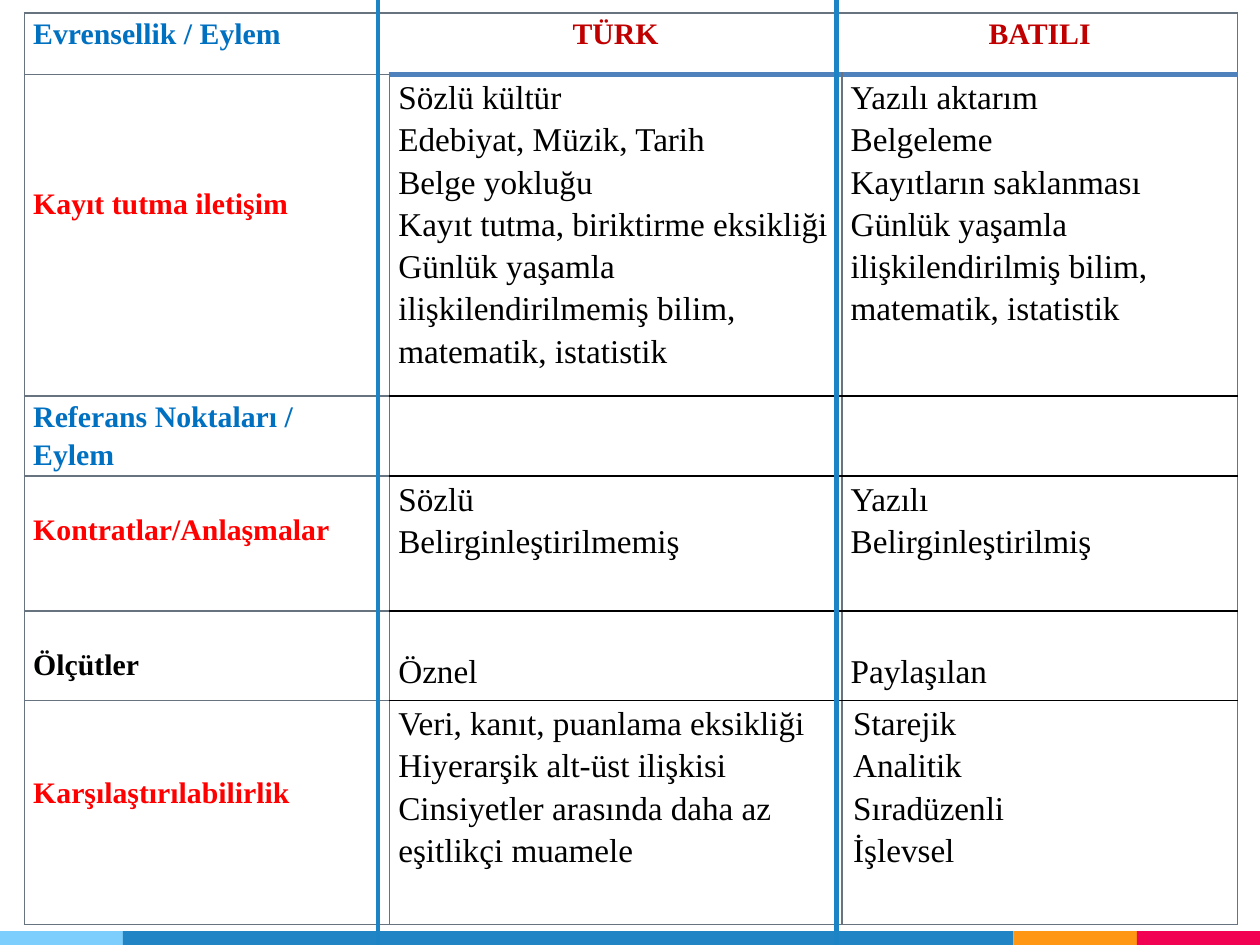
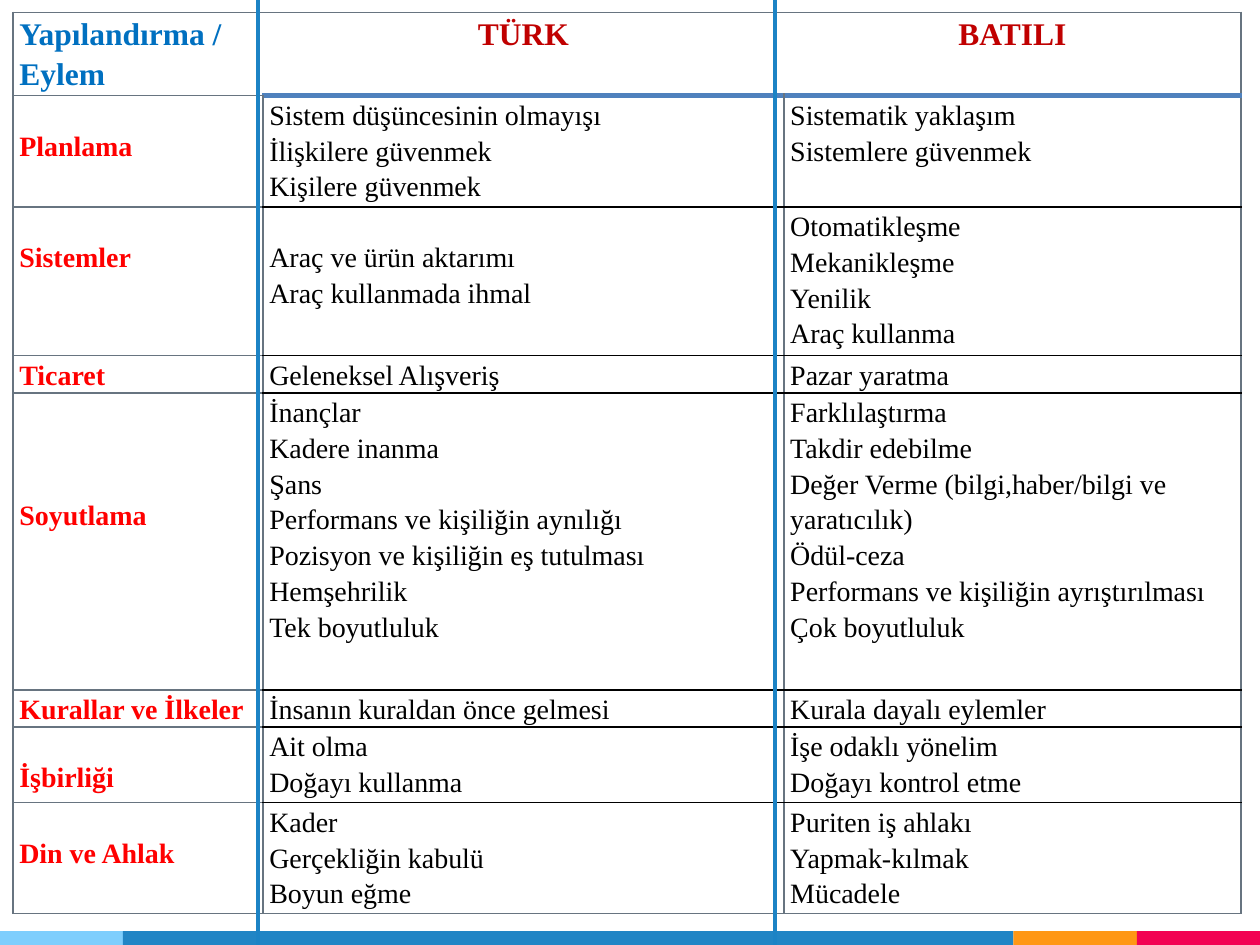
from dataclasses import dataclass

from lxml import etree
from pptx import Presentation
from pptx.dml.color import RGBColor
from pptx.enum.shapes import MSO_CONNECTOR, MSO_SHAPE
from pptx.enum.text import PP_ALIGN
from pptx.oxml.ns import qn
from pptx.util import Cm, Pt

FONT = "Times New Roman"
LINE_SPACING = 1.15
FONT_HEIGHT = 1.11  # height of a single line, relative to the font size
NO_GRID_STYLE = "{2D5ABB26-0587-4C30-8999-92F81FD0307C}"
SLIDE_WIDTH, SLIDE_HEIGHT = 25.4, 19.05

COLORS = {
    "section": "0070C0",
    "culture": "C00000",
    "topic": "FF0000",
    "text": "000000",
    "grid": "677480",
    "header_rule": "4F81BD",
    "divider": "1C83C5",
    "band_sky": "7ECEFD",
    "band_blue": "2185C5",
    "band_orange": "FF9715",
    "band_pink": "F20253",
}

BAND_TOP = 18.77
BAND_PARTS = [("band_sky", 2.48), ("band_blue", 17.95),
              ("band_orange", 2.49), ("band_pink", 2.48)]


@dataclass
class Row:
    """One topic; the lowered values are the empty lines above the text."""
    label: str
    turkish: list
    western: list
    height: float
    label_lowered: int = 0
    values_lowered: int = 0
    color: str = "topic"


@dataclass
class Comparison:
    heading: str
    left: float
    top: float
    columns: list
    header_height: float
    inset: float
    header_size: int
    label_size: int
    value_size: int
    dividers: list
    rows: list


UNIVERSALITY = Comparison(
    heading="Evrensellik / Eylem", left=0.49, top=0.26,
    columns=[7.36, 9.12, 7.98], header_height=1.24, inset=0.18,
    header_size=17, label_size=17, value_size=19, dividers=[7.62, 16.86],
    rows=[
        Row("Kayıt tutma iletişim",
            ["Sözlü kültür", "Edebiyat, Müzik, Tarih", "Belge yokluğu",
             "Kayıt tutma, biriktirme eksikliği",
             "Günlük yaşamla ilişkilendirilmemiş bilim, matematik, istatistik"],
            ["Yazılı aktarım", "Belgeleme", "Kayıtların saklanması",
             "Günlük yaşamla ilişkilendirilmiş bilim, matematik, istatistik"],
            6.48, label_lowered=3),
        Row("Referans Noktaları / Eylem", [], [], 1.62, color="section"),
        Row("Kontratlar/Anlaşmalar", ["Sözlü", "Belirginleştirilmemiş"],
            ["Yazılı", "Belirginleştirilmiş"], 2.72, label_lowered=1),
        Row("Ölçütler", ["Öznel"], ["Paylaşılan"], 1.8,
            label_lowered=1, values_lowered=1, color="text"),
        Row("Karşılaştırılabilirlik",
            ["Veri, kanıt, puanlama eksikliği", "Hiyerarşik alt-üst ilişkisi",
             "Cinsiyetler arasında daha az eşitlikçi muamele"],
            ["Starejik", "Analitik", "Sıradüzenli", "İşlevsel"],
            4.52, label_lowered=2),
    ])

STRUCTURING = Comparison(
    heading="Yapılandırma / Eylem", left=0.26, top=0.25,
    columns=[5.04, 10.5, 9.22], header_height=1.68, inset=0.13,
    header_size=18, label_size=16, value_size=16, dividers=[5.2, 15.62],
    rows=[
        Row("Planlama",
            ["Sistem düşüncesinin olmayışı", "İlişkilere güvenmek", "Kişilere güvenmek"],
            ["Sistematik yaklaşım", "Sistemlere güvenmek"], 2.24, label_lowered=1),
        Row("Sistemler", ["Araç ve ürün aktarımı", "Araç kullanmada ihmal"],
            ["Otomatikleşme", "Mekanikleşme", "Yenilik", "Araç kullanma"],
            3, label_lowered=1),
        Row("Ticaret", ["Geleneksel Alışveriş"], ["Pazar yaratma"], 0.75),
        Row("Soyutlama",
            ["İnançlar", "Kadere inanma", "Şans", "Performans ve kişiliğin aynılığı",
             "Pozisyon ve kişiliğin eş tutulması", "Hemşehrilik", "Tek boyutluluk"],
            ["Farklılaştırma", "Takdir edebilme",
             "Değer Verme (bilgi,haber/bilgi ve yaratıcılık)", "Ödül-ceza",
             "Performans ve kişiliğin ayrıştırılması", "Çok boyutluluk"],
            5.99, label_lowered=3),
        Row("Kurallar ve İlkeler", ["İnsanın kuraldan önce gelmesi"],
            ["Kurala dayalı eylemler"], 0.75),
        Row("İşbirliği", ["Ait olma", "Doğayı kullanma"],
            ["İşe odaklı yönelim", "Doğayı kontrol etme"], 1.52, label_lowered=1),
        Row("Din ve Ahlak", ["Kader", "Gerçekliğin kabulü", "Boyun eğme"],
            ["Puriten iş ahlakı", "Yapmak-kılmak", "Mücadele"],
            2.24, label_lowered=1),
    ])


def rgb(name):
    return RGBColor.from_string(COLORS[name])


def write_text(cell, lines, *, size, color="text", bold=False,
               align=PP_ALIGN.LEFT, inset=0.18, lowered=0):
    """Fill a cell with one paragraph per line, lowered by some line heights."""
    cell.margin_left = cell.margin_right = Cm(inset)
    cell.margin_bottom = 0
    cell.margin_top = 0
    if lowered:
        lines_above = LINE_SPACING * lowered - (LINE_SPACING - 1)
        cell.margin_top = Pt(size * FONT_HEIGHT * lines_above)
    frame = cell.text_frame
    for index, line in enumerate(lines):
        paragraph = frame.add_paragraph() if index else frame.paragraphs[0]
        paragraph.alignment = align
        paragraph.line_spacing = LINE_SPACING
        run = paragraph.add_run()
        run.text = line
        run.font.name = FONT
        run.font.size = Pt(size)
        run.font.bold = bold
        run.font.color.rgb = rgb(color)


def set_borders(cell, **sides):
    """Draw borders given as L, R, T, B = (colour name, points)."""
    properties = cell._tc.get_or_add_tcPr()
    for side in "LRTB":
        if side in sides:
            color, width = sides[side]
            line = etree.SubElement(properties, qn(f"a:ln{side}"), w=str(Pt(width)))
            fill = etree.SubElement(line, qn("a:solidFill"))
            etree.SubElement(fill, qn("a:srgbClr"), val=COLORS[color])


def draw_grid(table):
    """Grey frame, thick rule under the cultures, black rules between values."""
    grey, black, header_rule = ("grid", 1), ("text", 1), ("header_rule", 3)
    last_row, last_column = len(table.rows) - 1, len(table.columns) - 1

    def rule_below(row, column):
        if column == 0 or row in (-1, last_row):
            return grey
        return header_rule if row == 0 else black

    for row in range(last_row + 1):
        for column in range(last_column + 1):
            sides = {"T": rule_below(row - 1, column), "B": rule_below(row, column)}
            if column == 0 or (column == 1 and row > 0):
                sides["L"] = grey
            if column == last_column or (column == 0 and row > 0):
                sides["R"] = grey
            cell = table.cell(row, column)
            set_borders(cell, **sides)
            cell.fill.background()


def add_comparison_table(slide, comparison):
    heights = [comparison.header_height] + [row.height for row in comparison.rows]
    table = slide.shapes.add_table(
        len(heights), len(comparison.columns), Cm(comparison.left), Cm(comparison.top),
        Cm(sum(comparison.columns)), Cm(sum(heights))).table
    table.first_row = table.horz_banding = False
    table._tbl.tblPr.find(qn("a:tableStyleId")).text = NO_GRID_STYLE
    for column, width in zip(table.columns, comparison.columns):
        column.width = Cm(width)
    for table_row, height in zip(table.rows, heights):
        table_row.height = Cm(height)

    inset = comparison.inset
    header = dict(size=comparison.header_size, bold=True, inset=inset)
    write_text(table.cell(0, 0), [comparison.heading], color="section", **header)
    for column, culture in enumerate(["TÜRK", "BATILI"], start=1):
        write_text(table.cell(0, column), [culture], color="culture",
                   align=PP_ALIGN.CENTER, **header)
    for index, row in enumerate(comparison.rows, start=1):
        write_text(table.cell(index, 0), [row.label], size=comparison.label_size,
                   color=row.color, bold=True, inset=inset, lowered=row.label_lowered)
        lowered = {"Sistemler": (1, 0)}.get(row.label, (row.values_lowered,) * 2)
        for column, lines in enumerate([row.turkish, row.western], start=1):
            write_text(table.cell(index, column), lines, size=comparison.value_size,
                       inset=inset, lowered=lowered[column - 1])
    draw_grid(table)
    return table


def add_footer_band(slide):
    left = 0
    for color, width in BAND_PARTS:
        part = slide.shapes.add_shape(
            MSO_SHAPE.RECTANGLE, Cm(left), Cm(BAND_TOP),
            Cm(width), Cm(SLIDE_HEIGHT - BAND_TOP))
        part.shadow.inherit = False
        part.fill.solid()
        part.fill.fore_color.rgb = rgb(color)
        part.line.fill.background()
        left += width


def add_divider(slide, x):
    divider = slide.shapes.add_connector(
        MSO_CONNECTOR.STRAIGHT, Cm(x), 0, Cm(x), Cm(SLIDE_HEIGHT))
    divider.line.color.rgb = rgb("divider")
    divider.line.width = Pt(2.5)
    etree.SubElement(divider._element.spPr, qn("a:effectLst"))


def add_comparison_slide(presentation, comparison):
    slide = presentation.slides.add_slide(presentation.slide_layouts[6])
    add_footer_band(slide)
    table = add_comparison_table(slide, comparison)
    for x in comparison.dividers:
        add_divider(slide, x)
    return table


def main():
    presentation = Presentation()
    presentation.slide_width = Cm(SLIDE_WIDTH)
    presentation.slide_height = Cm(SLIDE_HEIGHT)
    universality = add_comparison_slide(presentation, UNIVERSALITY)
    universality.cell(5, 2).margin_left = Cm(0.23)
    add_comparison_slide(presentation, STRUCTURING)
    presentation.save("out.pptx")


if __name__ == "__main__":
    main()
